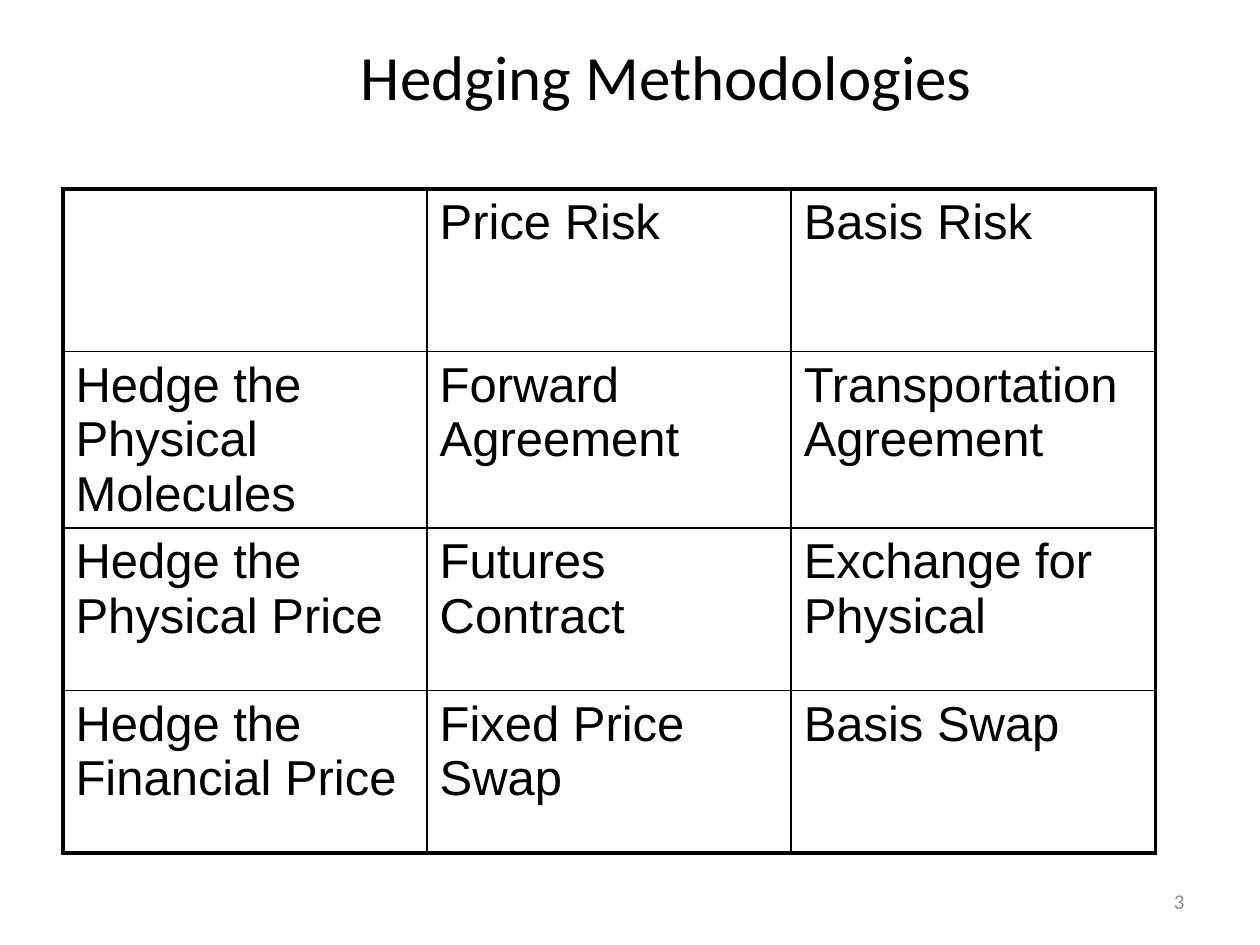
from lxml import etree
from pptx import Presentation
from pptx.dml.color import RGBColor
from pptx.enum import text
from pptx.oxml import ns
from pptx.util import Inches, Pt

INK = "000000"
GREY = "8C8C8C"
THIN, THICK = 1, 2.25
ROWS = [
    ["", "Price Risk", "Basis Risk"],
    ["Hedge the Physical Molecules", "Forward Agreement", "Transportation Agreement"],
    ["Hedge the Physical Price", "Futures Contract", "Exchange for Physical"],
    ["Hedge the Financial Price", "Fixed Price Swap", "Basis Swap"],
]


def paint(hue):
    return RGBColor.from_string(hue)


def write(para, words, size, face, hue):
    run = para.add_run()
    run.text = words
    run.font.size = Pt(size)
    run.font.name = face
    run.font.color.rgb = paint(hue)


def add_node(parent, tag, **attrs):
    return etree.SubElement(parent, ns.qn(tag), **attrs)


def edge(cell, widths):
    """Draw the left, right, top and bottom borders, ahead of the cell's fill."""
    props = cell._tc.get_or_add_tcPr()
    for spot, (side, width) in enumerate(zip("LRTB", widths)):
        line = add_node(props, f"a:ln{side}", w=str(Pt(width)))
        add_node(add_node(line, "a:solidFill"), "a:srgbClr", val=INK)
        props.insert(spot, line)


def add_title(slide, left, top, width, height):
    title = slide.shapes.title
    title.left, title.top, title.width, title.height = left, top, width, height
    frame = title.text_frame
    frame.vertical_anchor = text.MSO_ANCHOR.MIDDLE
    para = frame.paragraphs[0]
    para.alignment = text.PP_ALIGN.CENTER
    write(para, "Hedging Methodologies", 36, "Calibri", INK)


def add_grid(slide, left, top, width, height):
    rows, cols = len(ROWS), len(ROWS[0])
    table = slide.shapes.add_table(rows, cols, left, top, width, height).table
    table.first_row = table.horz_banding = False
    for r, row in enumerate(ROWS):
        for c, words in enumerate(row):
            cell = table.cell(r, c)
            cell.fill.background()
            outer = (c == 0, c == cols - 1, r == 0, r == rows - 1)
            edge(cell, [THICK if side else THIN for side in outer])
            para = cell.text_frame.paragraphs[0]
            if words:
                gap = add_node(para._p.get_or_add_pPr(), "a:spcBef")
                add_node(gap, "a:spcPct", val="20000")
                write(para, words, 28, "Arial", INK)


def add_number(slide, left, top, width, height):
    frame = slide.shapes.add_textbox(left, top, width, height).text_frame
    frame.word_wrap = True
    frame.vertical_anchor = text.MSO_ANCHOR.MIDDLE
    para = frame.paragraphs[0]
    para.alignment = text.PP_ALIGN.RIGHT
    write(para, "3", 12, "Calibri", GREY)


def main():
    deck = Presentation()
    deck.slide_width, deck.slide_height = Inches(10), Inches(7.5)
    slide = deck.slides.add_slide(deck.slide_layouts[5])
    add_title(slide, Inches(1.58), Inches(0.25), Inches(7.42), Inches(0.7))
    add_grid(slide, Inches(0.5), Inches(1.5), Inches(8.67), Inches(5.16))
    add_number(slide, Inches(7.17), Inches(6.95), Inches(2.33), Inches(0.4))
    deck.save("out.pptx")


if __name__ == "__main__":
    main()
